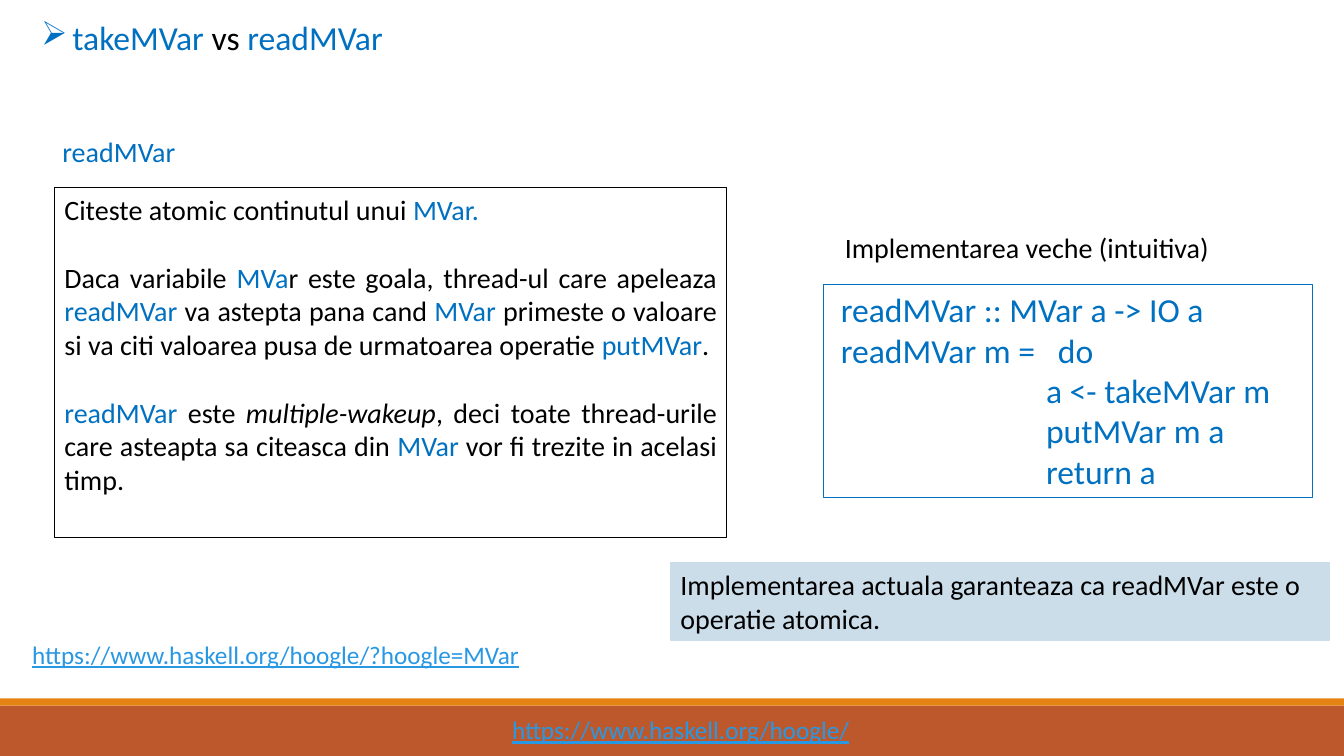
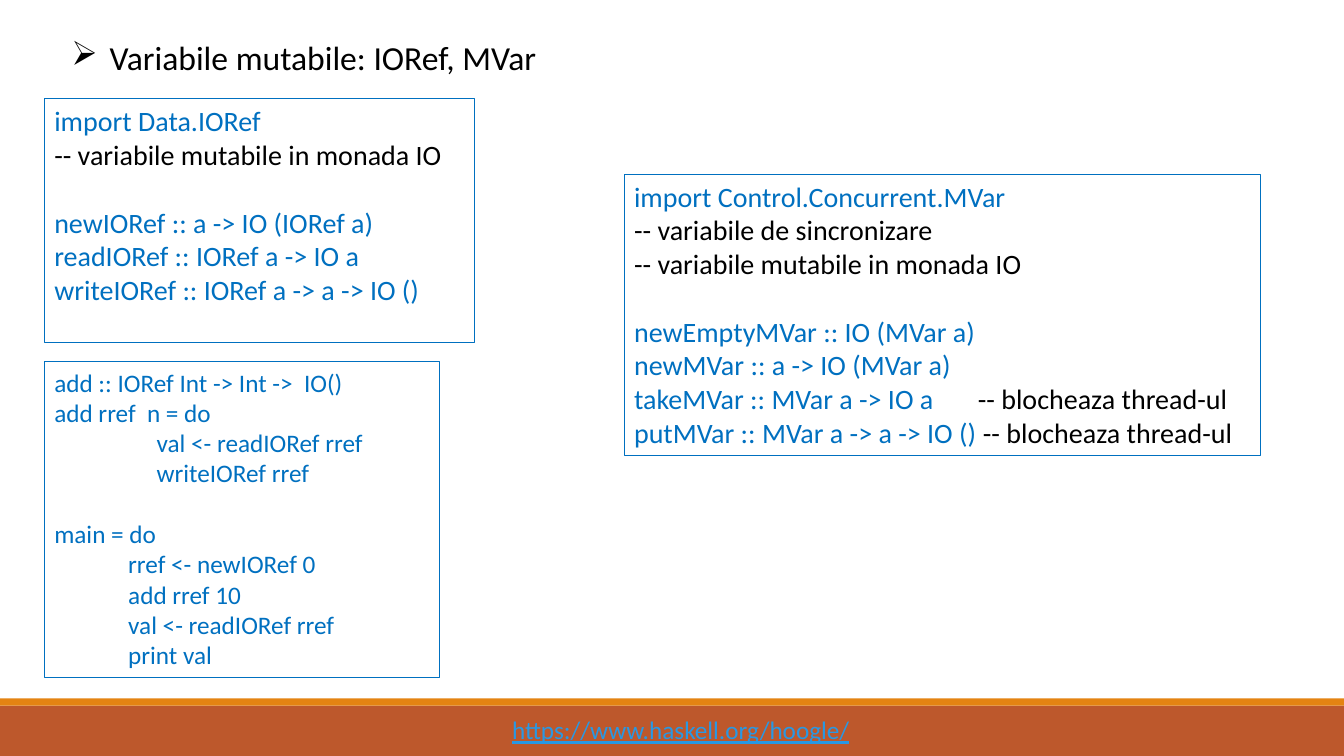
"""Build two slides on mutable variables in Haskell: IORef and MVar."""
from lxml.etree import SubElement
from pptx import Presentation
from pptx.dml.color import RGBColor as Rgb
from pptx.enum.shapes import MSO_SHAPE as Shape
from pptx.enum.text import MSO_ANCHOR as Anchor, PP_ALIGN as Align
from pptx.oxml.ns import qn
from pptx.util import Inches, Pt

FONT = "Calibri"
COLOURS = {
    "ink": "000000",
    "code": "0070C0",
    "link": "2998E3",
    "note": "CCDDEA",
    "footer": "BD582C",
    "stripe": "E48312",
}
LINE_HEIGHT = 1.22


def colour(name):
    return Rgb.from_string(COLOURS[name])


def lines_of(style, *texts):
    return [[(style, text)] for text in texts]


def add_run(para, style, text, size):
    run = para.add_run()
    run.text = text
    run.font.name = FONT
    run.font.size = Pt(size)
    run.font.italic = style == "emphasis"
    run.font.underline = style == "link"
    run.font.color.rgb = colour("ink" if style == "emphasis" else style)


def write_text(shape, paras, size, gaps=(), align=Align.LEFT, inset=0.1):
    frame = shape.text_frame
    frame.word_wrap = True
    frame.vertical_anchor = Anchor.TOP
    frame.margin_left = Inches(inset)
    for index, runs in enumerate(paras):
        para = frame.paragraphs[0] if index == 0 else frame.add_paragraph()
        para.alignment = align
        if index in gaps:
            para.space_before = Pt(size * LINE_HEIGHT)
        for style, text in runs:
            add_run(para, style, text, size)
    return frame


def add_box(page, place, fill=None, line=None):
    box = page.shapes.add_shape(Shape.RECTANGLE, *map(Inches, place))
    box.shadow.inherit = False
    if fill:
        box.fill.solid()
        box.fill.fore_color.rgb = colour(fill)
    else:
        box.fill.background()
    if line:
        box.line.color.rgb = colour(line)
        box.line.width = Pt(0.75)
    else:
        box.line.fill.background()
    return box


def add_panel(page, place, paras, size, line="code", **layout):
    return write_text(add_box(page, place, line=line), paras, size, **layout)


def add_label(page, place, runs, size=20):
    box = page.shapes.add_textbox(*map(Inches, place))
    return write_text(box, [runs], size)


def add_title(page, place, runs, indent):
    para = add_label(page, place, runs, 24).paragraphs[0]
    props = para._p.get_or_add_pPr()
    props.set("marL", str(Inches(indent)))
    props.set("indent", str(-Inches(indent)))
    SubElement(props, qn("a:buChar"), char="➢")


def set_tab(para, position):
    tabs = SubElement(para._p.get_or_add_pPr(), qn("a:tabLst"))
    SubElement(tabs, qn("a:tab"), pos=str(Inches(position)), algn="l")


def add_page(deck):
    page = deck.slides.add_slide(deck.slide_layouts[6])
    add_box(page, (0, 7, 13.33, 0.5), fill="footer")
    add_box(page, (0, 6.93, 13.33, 0.07), fill="stripe")
    add_label(page, (4.98, 7.04, 3.59, 0.4),
              [("link", "https://www.haskell.org/hoogle/")], 18)
    return page


def build_read_page(deck):
    page = add_page(deck)
    add_title(page, (0.31, 0.12, 3.7, 0.5),
              [("code", "takeMVar"), ("ink", " vs "), ("code", "readMVar")], 0.31)
    add_label(page, (0.52, 1.29, 1.4, 0.44), [("code", "readMVar")])
    description = [
        [("ink", "Citeste atomic continutul unui "), ("code", "MVar.")],
        [("ink", "Daca variabile "), ("code", "MVa"),
         ("ink", "r este goala, thread-ul care apeleaza "),
         ("code", "readMVar "), ("ink", "va astepta pana cand "),
         ("code", "MVar "),
         ("ink", "primeste o valoare si va citi valoarea pusa de "
                 "urmatoarea operatie "),
         ("code", "putMVar"), ("ink", ".")],
        [("code", "readMVar "), ("ink", "este "),
         ("emphasis", "multiple-wakeup"),
         ("ink", ", deci toate thread-urile care asteapta sa citeasca din "),
         ("code", "MVar "), ("ink", "vor fi trezite in acelasi timp.")],
    ]
    add_panel(page, (0.54, 1.86, 6.67, 3.47), description, 20, line="ink",
              gaps=(1, 2), align=Align.JUSTIFY)
    add_label(page, (8.28, 2.24, 3.98, 0.44),
              [("ink", "Implementarea veche (intuitiva)")])
    old_code = lines_of(
        "code",
        "readMVar :: MVar a -> IO a",
        "readMVar m =   do",
        "                           a <- takeMVar m",
        "                           putMVar m a",
        "                           return a",
    )
    add_panel(page, (8.17, 2.82, 4.85, 2.12), old_code, 24, inset=0.17)
    note = add_box(page, (6.65, 5.58, 6.54, 0.77), fill="note", line="note")
    write_text(note, lines_of("ink", "Implementarea actuala garanteaza ca "
                              "readMVar este o operatie atomica."), 20)
    add_label(page, (0.22, 6.29, 5.09, 0.4),
              [("link", "https://www.haskell.org/hoogle/?hoogle=MVar")], 18)


def build_variables_page(deck):
    page = add_page(deck)
    add_title(page, (0.61, 0.32, 5, 0.5),
              [("ink", "Variabile mutabile: IORef, MVar")], 0.38)
    ioref_types = [
        *lines_of("code", "import Data.IORef"),
        *lines_of("ink", "-- variabile mutabile in monada IO"),
        *lines_of("code", "newIORef :: a -> IO (IORef a)",
                  "readIORef :: IORef a -> IO a",
                  "writeIORef :: IORef a -> a -> IO ()"),
    ]
    add_panel(page, (0.44, 0.98, 4.27, 2.42), ioref_types, 20, gaps=(2,))
    ioref_example = lines_of(
        "code",
        "add :: IORef Int -> Int ->  IO()",
        "add rref  n = do",
        "                  val <- readIORef rref",
        "                  writeIORef rref",
        "main = do",
        "             rref <- newIORef 0",
        "             add rref 10",
        "             val <- readIORef rref",
        "             print val",
    )
    add_panel(page, (0.44, 3.59, 3.92, 3.13), ioref_example, 18, gaps=(4,))
    blocking = ("ink", "-- blocheaza thread-ul")
    mvar_types = [
        *lines_of("code", "import Control.Concurrent.MVar"),
        *lines_of("ink", "-- variabile de sincronizare",
                  "-- variabile mutabile in monada IO"),
        *lines_of("code", "newEmptyMVar :: IO (MVar a)",
                  "newMVar :: a -> IO (MVar a)"),
        [("code", "takeMVar :: MVar a -> IO a\t"), blocking],
        [("code", "putMVar :: MVar a -> a -> IO () "), blocking],
    ]
    frame = add_panel(page, (6.19, 1.73, 6.31, 2.79), mvar_types, 20, gaps=(3,))
    set_tab(frame.paragraphs[5], 3.41)


def main():
    deck = Presentation()
    deck.slide_width = Inches(13.33)
    deck.slide_height = Inches(7.5)
    build_read_page(deck)
    build_variables_page(deck)
    deck.save("out.pptx")


if __name__ == "__main__":
    main()
